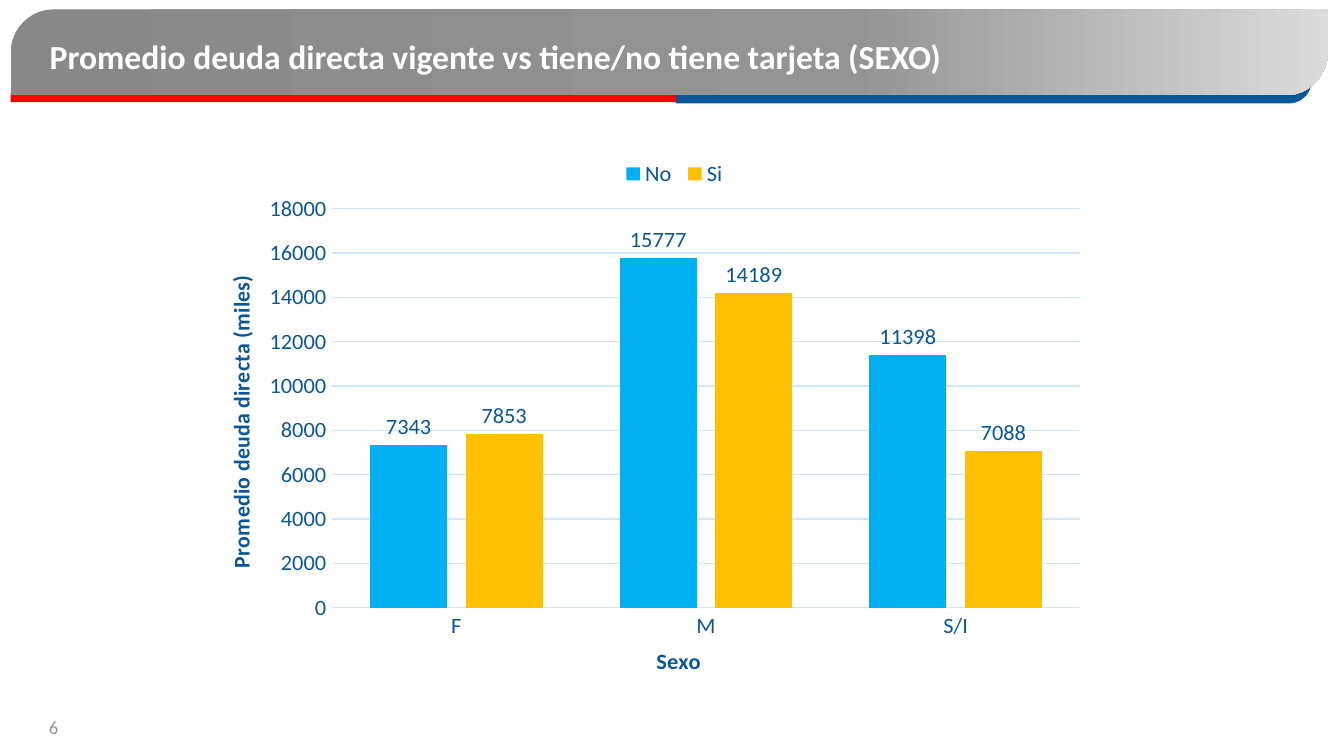
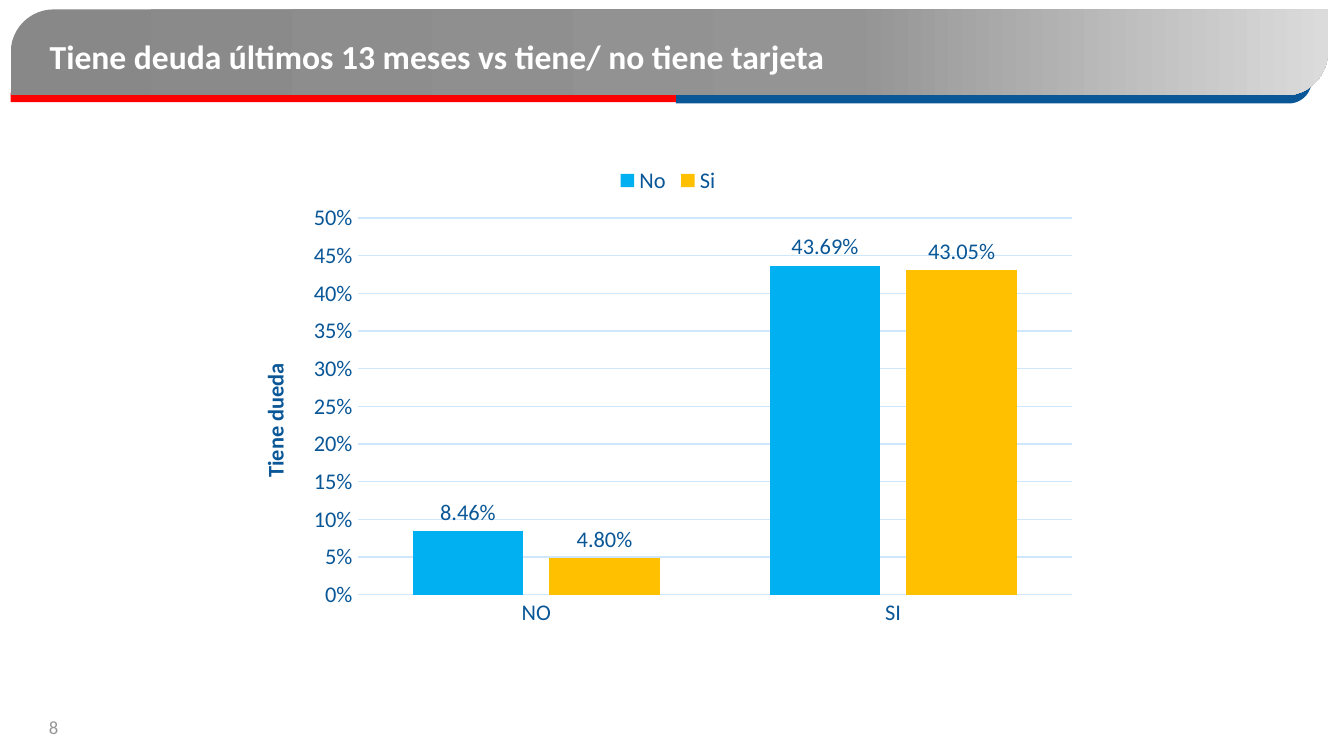
from copy import deepcopy

from lxml import etree
from pptx import Presentation
from pptx.chart.data import CategoryChartData
from pptx.dml.color import RGBColor
from pptx.enum.chart import XL_CHART_TYPE, XL_LABEL_POSITION, XL_LEGEND_POSITION, XL_TICK_MARK
from pptx.enum.shapes import MSO_SHAPE
from pptx.enum.text import MSO_ANCHOR, MSO_AUTO_SIZE, PP_ALIGN
from pptx.oxml.ns import qn
from pptx.util import Inches, Pt

COLUMNS = XL_CHART_TYPE.COLUMN_CLUSTERED
OUTSIDE = XL_LABEL_POSITION.OUTSIDE_END
BOTTOM = XL_LEGEND_POSITION.BOTTOM
NO_TICK = XL_TICK_MARK.NONE
DIAGONAL, RECTANGLE = MSO_SHAPE.ROUND_2_DIAG_RECTANGLE, MSO_SHAPE.RECTANGLE
MIDDLE, LEFT, CENTER = MSO_ANCHOR.MIDDLE, PP_ALIGN.LEFT, PP_ALIGN.CENTER

color = RGBColor.from_string
FONT = "Calibri"
NAVY, RED, WHITE, GRAY, PALE = "0A5797", "FF0000", "FFFFFF", "969696", "CEE7FC"
BAND_STOPS = [(0, "888888"), (0.64, "949494"), (1, "DBDBDB")]
SERIES_COLORS = ["00B0F0", "FFC000"]
BAND_LEFT, BAND_TOP, BAND_WIDTH, BAND_HEIGHT = 0.08, 0.07, 9.8, 0.64
MIDLINE = 5.03

# Header shapes from back to front: preset, left, top, width, height, fill
HEADER = [
    (DIAGONAL, MIDLINE, 0.43, 4.73, 0.34, NAVY),
    (RECTANGLE, BAND_LEFT, 0.69, MIDLINE - BAND_LEFT, 0.07, RED),
    (DIAGONAL, BAND_LEFT, BAND_TOP, BAND_WIDTH, BAND_HEIGHT, BAND_STOPS),
]

# Layouts inside a chart are shares of the chart's size
PAGES = [
    dict(title="Promedio deuda directa vigente vs tiene/no tiene tarjeta (SEXO)", number="6",
         place=(1.65, 1.16, 6.54, 3.91), categories=["F", "M", "S/I"],
         series={"No": [7343, 15777, 11398], "Si": [7853, 14189, 7088]},
         label_format="0", axis_format="0", top=18000, step=2000,
         value_title=("Promedio deuda directa (miles)", (0, 0.24)),
         category_title=("Sexo", (0.49, 0.95)),
         plot=(0.125, 0.103, 0.852, 0.78), legend=(0.45, 0, 0.13, 0.07)),
    dict(title="Tiene deuda últimos 13 meses vs tiene/ no tiene tarjeta", number="8",
         place=(1.65, 1.1, 6.33, 3.74), categories=["NO", "SI"],
         series={"No": [0.0846, 0.4369], "Si": [0.048, 0.4305]},
         label_format="0.00%", axis_format="0%", top=0.5, step=0.05,
         value_title=("Tiene dueda", (0.04, 0.42)), category_title=None,
         plot=(0.16, 0.14, 0.84, 0.749), legend=(0.46, 0.03, 0.13, 0.07)),
]


def format_font(font, size=12, ink=NAVY, bold=False):
    font.name, font.size, font.bold = FONT, Pt(size), bold
    font.color.rgb = color(ink)


def set_layout(element, shares, inner=False):
    """Place a chart part by hand, at shares (x, y, w, h) of the chart."""
    for old in element.findall(qn("c:layout")):
        element.remove(old)
    layout = etree.Element(qn("c:layout"))
    manual = etree.SubElement(layout, qn("c:manualLayout"))
    if inner:
        etree.SubElement(manual, qn("c:layoutTarget")).set("val", "inner")
    for mode in ("xMode", "yMode"):
        etree.SubElement(manual, qn("c:" + mode)).set("val", "edge")
    for name, share in zip("xywh", shares):
        etree.SubElement(manual, qn("c:" + name)).set("val", str(share))
    overlay = element.find(qn("c:overlay"))
    if overlay is None:
        element.insert(0, layout)
    else:
        overlay.addprevious(layout)


deck = Presentation()
deck.slide_width = Inches(10)
deck.slide_height = deck.slide_width * 9 // 16
title_only = deck.slide_layouts[5]

for page in PAGES:
    slide = deck.slides.add_slide(title_only)
    shapes = slide.shapes

    # Header band
    for preset, left, top, width, height, fill in HEADER:
        band = shapes.add_shape(preset, Inches(left), Inches(top), Inches(width), Inches(height))
        band.shadow.inherit = False
        band.line.fill.background()
        if preset == DIAGONAL:
            band.adjustments[0] = 0.5
        if isinstance(fill, str):
            band.fill.solid()
            band.fill.fore_color.rgb = color(fill)
        else:
            band.fill.gradient()
            band.fill.gradient_angle = 0
            stop_list = band._element.spPr.find(".//" + qn("a:gsLst"))
            stop_list.append(deepcopy(stop_list[0]))
            for stop, (position, shade) in zip(band.fill.gradient_stops, fill):
                stop.position = position
                stop.color.rgb = color(shade)

    # Page number
    box = shapes.add_textbox(Inches(0), Inches(5.28), Inches(0.8), Inches(0.3))
    box.text_frame.word_wrap = True
    para = box.text_frame.paragraphs[0]
    para.alignment = CENTER
    span = para.add_run()
    span.text = page["number"]
    format_font(span.font, size=10, ink=GRAY)

    # Title, brought in front of the band
    title = shapes.title
    title.left, title.top, title.width, title.height = map(Inches, (0.27, 0.06, 9.3, 0.71))
    frame = title.text_frame
    frame.text = page["title"]
    frame.auto_size, frame.vertical_anchor = MSO_AUTO_SIZE.NONE, MIDDLE
    frame.paragraphs[0].alignment = LEFT
    format_font(frame.paragraphs[0].runs[0].font, size=18, ink=WHITE, bold=True)
    shapes._spTree.append(title._element)

    # Chart
    data = CategoryChartData(number_format=page["label_format"])
    data.categories = page["categories"]
    for name, values in page["series"].items():
        data.add_series(name, values)
    chart = shapes.add_chart(COLUMNS, *map(Inches, page["place"]), data).chart
    format_font(chart.font, size=10, ink="4C4C4C")
    chart.has_title = False
    set_layout(chart._chartSpace.chart.plotArea, page["plot"], inner=True)

    # Columns and their labels
    plot = chart.plots[0]
    plot.gap_width, plot.overlap, plot.vary_by_categories = 100, -24, False
    for series, shade in zip(plot.series, SERIES_COLORS):
        series.format.fill.solid()
        series.format.fill.fore_color.rgb = color(shade)
        labels = series.data_labels
        labels.show_value, labels.position = True, OUTSIDE
        labels.number_format, labels.number_format_is_linked = page["label_format"], False
        format_font(labels.font)

    # Axes
    value_axis, category_axis = chart.value_axis, chart.category_axis
    for axis, heading in ((value_axis, page["value_title"]), (category_axis, page["category_title"])):
        axis.major_tick_mark = axis.minor_tick_mark = NO_TICK
        format_font(axis.tick_labels.font)
        axis.has_title = heading is not None
        if heading:
            words, corner = heading
            para = axis.axis_title.text_frame.paragraphs[0]
            span = para.add_run()
            span.text = words
            format_font(span.font, bold=True)
            set_layout(axis.axis_title._element, corner)
    value_axis.minimum_scale, value_axis.maximum_scale = 0, page["top"]
    value_axis.major_unit = page["step"]
    value_axis.tick_labels.number_format = page["axis_format"]
    value_axis.tick_labels.number_format_is_linked = False
    value_axis.format.line.fill.background()
    for line in (value_axis.major_gridlines.format.line, category_axis.format.line):
        line.color.rgb = color(PALE)
        line.width = Pt(0.75)

    # Legend
    chart.has_legend = True
    chart.legend.position = BOTTOM
    chart.legend.include_in_layout = False
    format_font(chart.legend.font)
    set_layout(chart.legend._element, page["legend"])

deck.save("out.pptx")
